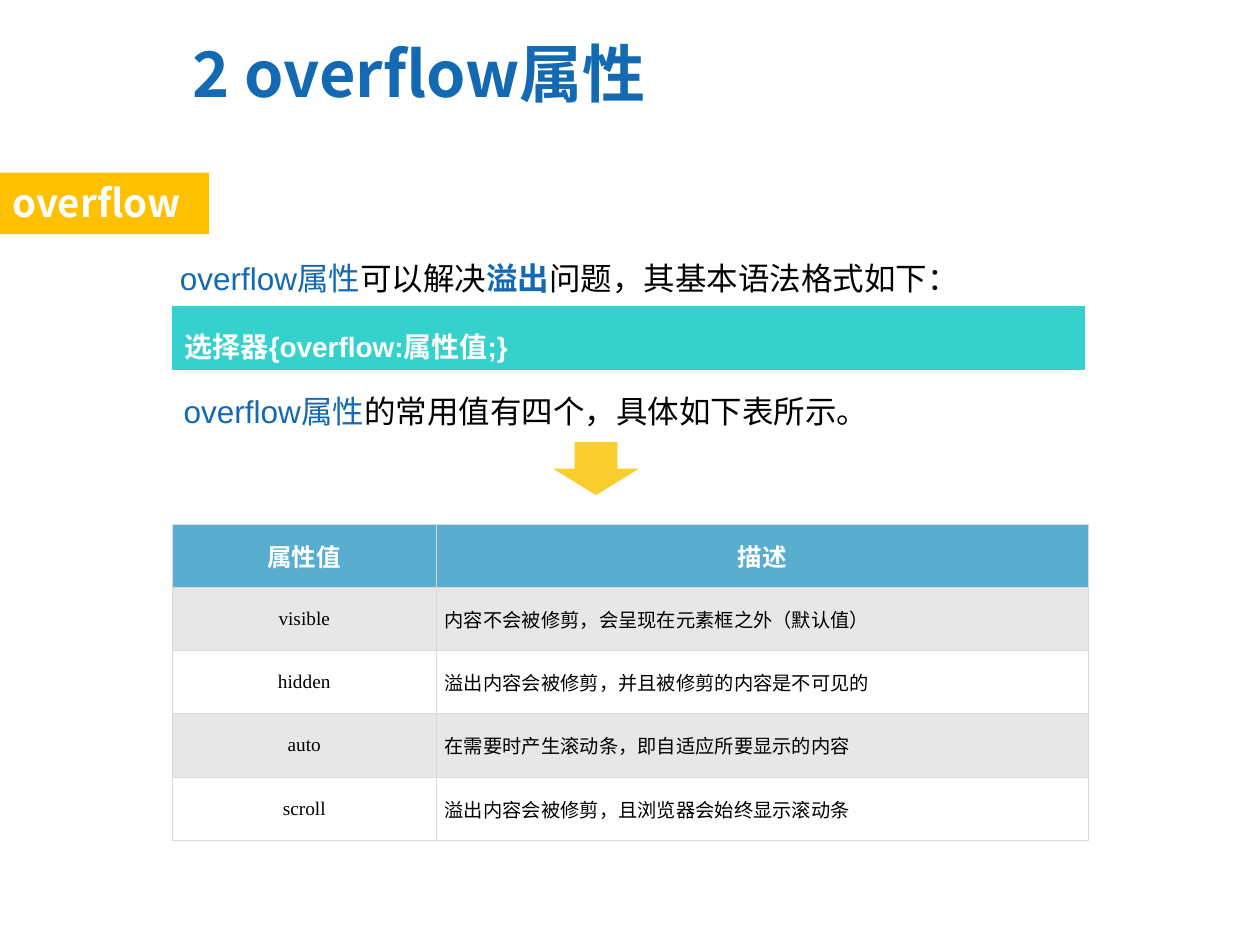
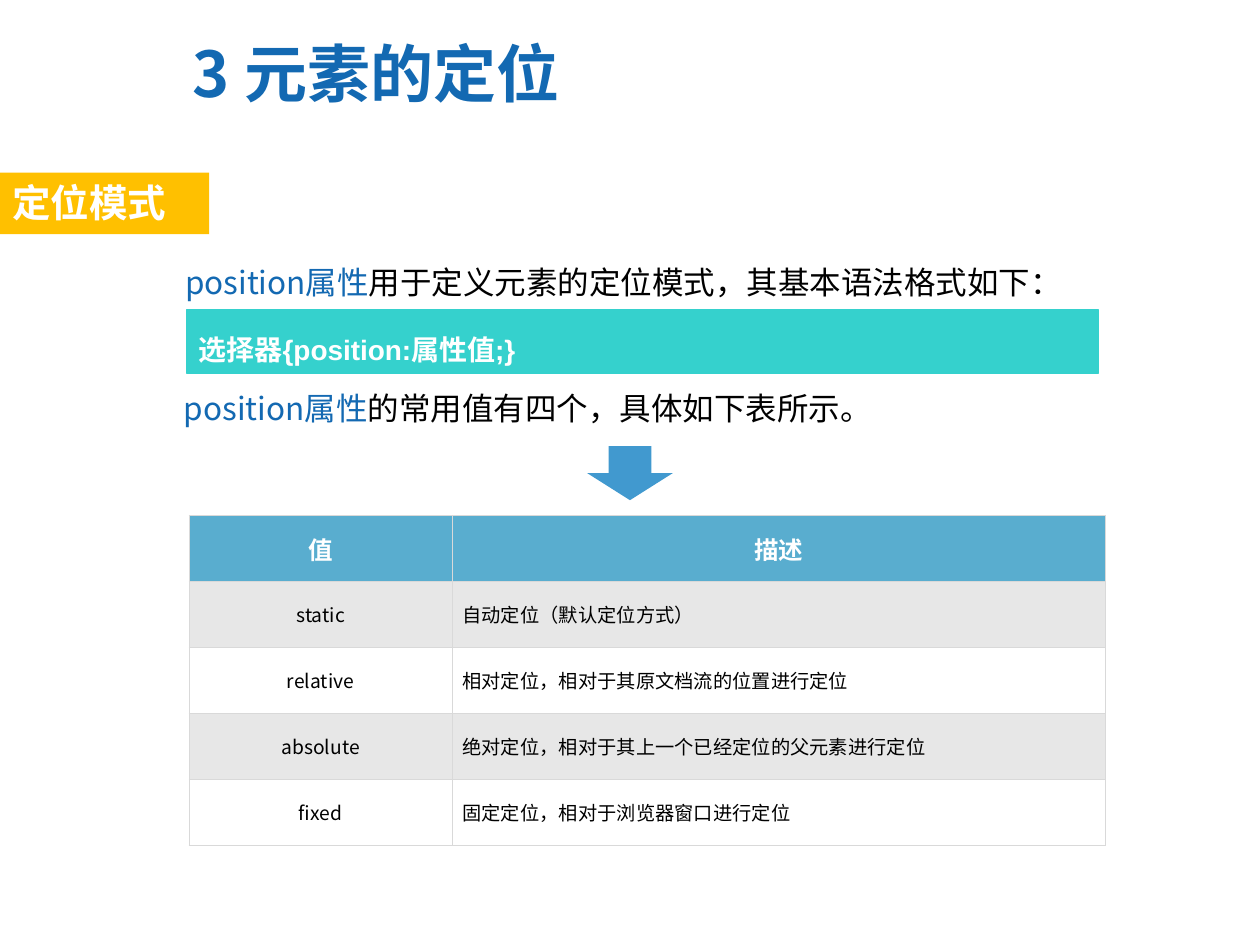
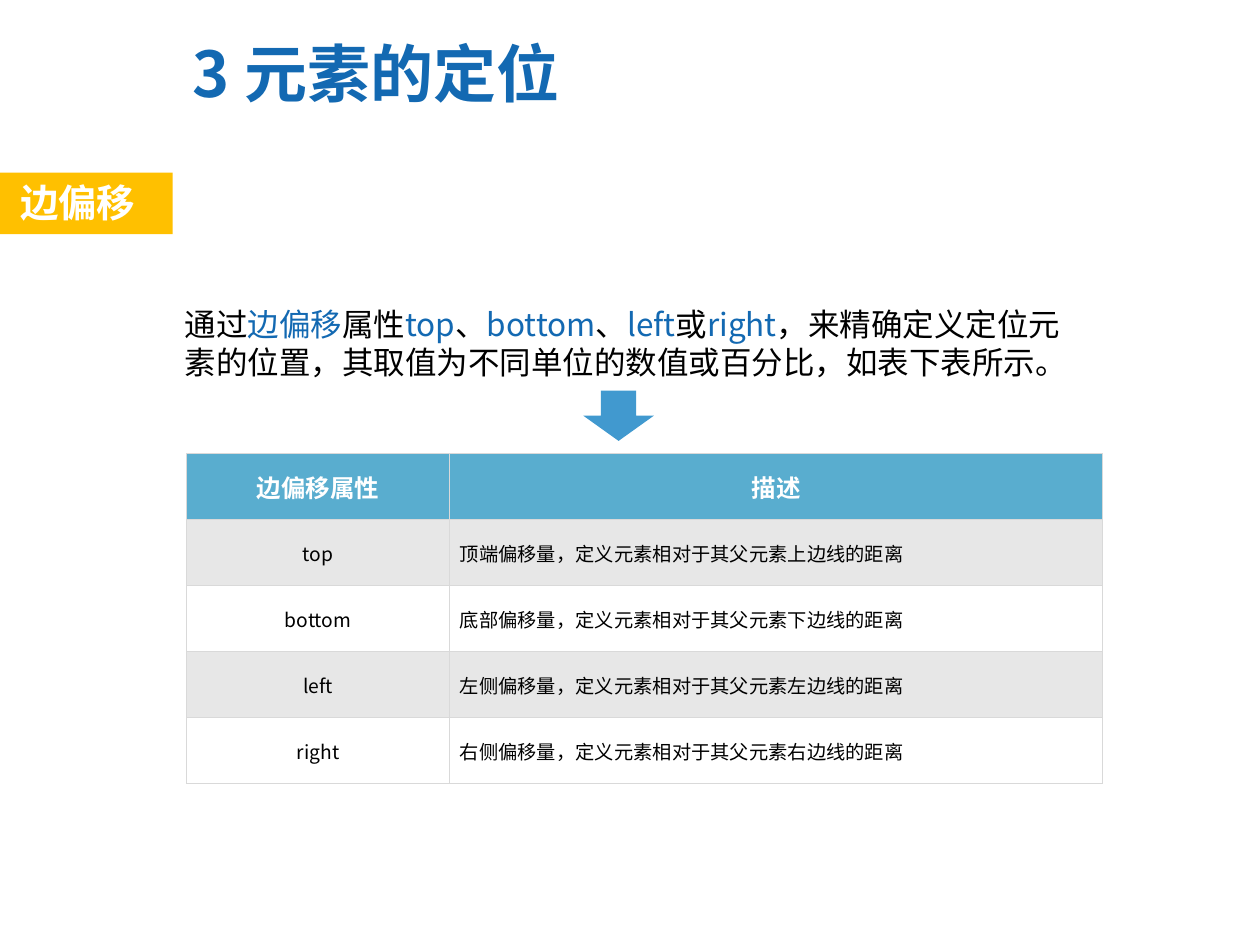
"""Build three slides on the CSS overflow and position properties."""
from lxml import etree
from pptx import Presentation
from pptx.dml.color import RGBColor
from pptx.enum.shapes import MSO_SHAPE
from pptx.enum.text import MSO_ANCHOR, MSO_AUTO_SIZE, PP_ALIGN
from pptx.oxml.ns import qn
from pptx.util import Inches, Pt

RECT, DOWN = MSO_SHAPE.RECTANGLE, MSO_SHAPE.DOWN_ARROW
TOP, MIDDLE = MSO_ANCHOR.TOP, MSO_ANCHOR.MIDDLE
LEFT, CENTER = PP_ALIGN.LEFT, PP_ALIGN.CENTER
FIXED = MSO_AUTO_SIZE.NONE

BLUE, BLACK, WHITE = "1369B2", "000000", "FFFFFF"
AMBER, TEAL, SKY, GRAY, RULE = "FFC000", "35D1CD", "59ADCF", "E7E7E7", "D9D9D9"
NOTO, ARIAL, TIMES = "Noto Sans CJK SC", "Arial", "Times New Roman"

PAGES = [
    {
        "title": "2 overflow属性", "span": 93.1,
        "tag": "overflow", "tag_wide": 16.6, "tag_pad": 0.1,
        "lines": [
            ("|overflow属性|可以解决|!溢出|问题，其基本语法格式如下：",
             ARIAL, 1.5, (13.3, 24.8, 75.9, 7.33)),
            ("|overflow属性|的常用值有四个，具体如下表所示。",
             ARIAL, 1, (13.6, 40.8, 72.4, 5.33)),
        ],
        "code": ("选择器{overflow:属性值;}", (13.7, 32.4, 72.4, 6.67)),
        "arrow": ("FACE2E", (43.9, 46.8, 6.8, 5.6)),
        "grid": (13.7, 55.47, 6.69), "faces": (TIMES, TIMES), "pad": 0.07,
        "rows": [
            ("属性值", "描述"),
            ("visible", "内容不会被修剪，会呈现在元素框之外（默认值）"),
            ("hidden", "溢出内容会被修剪，并且被修剪的内容是不可见的"),
            ("auto", "在需要时产生滚动条，即自适应所要显示的内容"),
            ("scroll", "溢出内容会被修剪，且浏览器会始终显示滚动条"),
        ],
    },
    {
        "title": "3 元素的定位", "span": 56.3,
        "tag": "定位模式", "tag_wide": 16.6, "tag_pad": 0.1,
        "lines": [
            ("|position属性|用于定义元素的定位模式，其基本语法格式如下：",
             NOTO, 1.5, (13.7, 25.2, 75.9, 7.33)),
            ("|position属性|的常用值有四个，具体如下表所示。",
             NOTO, 1, (13.6, 40.53, 72.4, 5.33)),
        ],
        "code": ("选择器{position:属性值;}", (14.8, 32.8, 72.4, 6.67)),
        "arrow": ("4199CF", (46.6, 47.2, 6.8, 5.73)),
        "grid": (15, 54.53, 6.99), "faces": (NOTO, NOTO), "pad": 0.08,
        "rows": [
            ("值", "描述"),
            ("static", "自动定位（默认定位方式）"),
            ("relative", "相对定位，相对于其原文档流的位置进行定位"),
            ("absolute", "绝对定位，相对于其上一个已经定位的父元素进行定位"),
            ("fixed", "固定定位，相对于浏览器窗口进行定位"),
        ],
    },
    {
        "title": "3 元素的定位", "span": 56.3,
        "tag": "边偏移", "tag_wide": 13.7, "tag_pad": 0.16,
        "lines": [
            ("通过|边偏移|属性|top|、|bottom|、|left|或|right|，来精确定义"
             "定位元素的位置，其取值为不同单位的数值或百分比，如表下表所示。",
             NOTO, 1, (13.7, 31.6, 72.4, 13.33)),
        ],
        "code": None,
        "arrow": ("4199CF", (46.3, 41.33, 5.6, 5.33)),
        "grid": (14.8, 48, 6.99), "faces": (TIMES, NOTO), "pad": 0.08,
        "rows": [
            ("边偏移属性", "描述"),
            ("top", "顶端偏移量，定义元素相对于其父元素上边线的距离"),
            ("bottom", "底部偏移量，定义元素相对于其父元素下边线的距离"),
            ("left", "左侧偏移量，定义元素相对于其父元素左边线的距离"),
            ("right", "右侧偏移量，定义元素相对于其父元素右边线的距离"),
        ],
    },
]


def paint(fill, color):
    """Give a shape, line, cell or font fill one solid colour."""
    fill.solid()
    fill.fore_color.rgb = RGBColor.from_string(color)


def write(frame, text, size, face, color, bold=False, align=LEFT, space=1):
    """Write one paragraph; every second part between bars is blue, ! is bold."""
    frame.word_wrap = True
    para = frame.paragraphs[0]
    para.alignment, para.line_spacing = align, space
    for i, part in enumerate(text.split("|")):
        if not part:
            continue
        run = para.add_run()
        run.text = part.lstrip("!")
        font = run.font
        font.size, font.name = Pt(size), face
        font.bold = bold or part.startswith("!")
        paint(font.fill, BLUE if i % 2 else color)
        east = etree.SubElement(run._r.get_or_add_rPr(), qn("a:ea"))
        east.set("typeface", NOTO)


prs = Presentation()
prs.slide_width, prs.slide_height = Inches(10), Inches(7.5)
wide, tall = prs.slide_width / 100, prs.slide_height / 100
scale = (wide, tall, wide, tall)

for page in PAGES:
    slide = prs.slides.add_slide(prs.slide_layouts[5])
    shapes = slide.shapes

    title = shapes.title
    title.left, title.top, title.width, title.height = (
        int(n * unit) for n, unit in zip((0.9, 2, page["span"], 11.2), scale))
    frame = title.text_frame
    frame.auto_size, frame.vertical_anchor = FIXED, MIDDLE
    frame.margin_left = Inches(1.44)
    write(frame, page["title"], 36, NOTO, BLUE, True)

    for text, face, space, spot in page["lines"]:
        area = [int(n * unit) for n, unit in zip(spot, scale)]
        frame = shapes.add_textbox(*area).text_frame
        write(frame, text, 18, face, BLACK, space=space)

    tag_spot = (0, 18.27, page["tag_wide"], 6.53)
    color, spot = page["arrow"]
    blocks = [(RECT, AMBER, tag_spot, page["tag"], 22, NOTO, 1, page["tag_pad"]),
              (DOWN, color, spot, "", 18, NOTO, 1, 0.1)]
    if page["code"]:
        text, spot = page["code"]
        blocks.append((RECT, TEAL, spot, text, 16, ARIAL, 1.5, 0.1))
    for kind, color, spot, text, size, face, space, pad in blocks:
        area = [int(n * unit) for n, unit in zip(spot, scale)]
        block = shapes.add_shape(kind, *area)
        block.shadow.inherit = False
        paint(block.fill, color)
        block.line.fill.background()
        if color == TEAL:
            paint(block.line.fill, TEAL)
            block.line.width = Pt(0.75)
        if text:
            frame = block.text_frame
            frame.vertical_anchor, frame.margin_left = TOP, Inches(pad)
            write(frame, text, size, face, WHITE, True, space=space)

    left, top, step = page["grid"]
    rows = page["rows"]
    spot = (left, top, 72.7, step * len(rows))
    area = [int(n * unit) for n, unit in zip(spot, scale)]
    table = shapes.add_table(len(rows), 2, *area).table
    for column, share in zip(table.columns, (20.9, 51.8)):
        column.width = int(share * wide)
    for r, row in enumerate(rows):
        table.rows[r].height = int(step * tall)
        head = r == 0
        for c, text in enumerate(row):
            cell = table.cell(r, c)
            cell.vertical_anchor = MIDDLE
            cell.margin_left = cell.margin_right = Inches(page["pad"])
            props = cell._tc.get_or_add_tcPr()
            for side in ("a:lnL", "a:lnR", "a:lnT", "a:lnB"):
                edge = etree.SubElement(props, qn(side), w=str(Pt(0.45)))
                solid = etree.SubElement(edge, qn("a:solidFill"))
                etree.SubElement(solid, qn("a:srgbClr"), val=RULE)
            paint(cell.fill, SKY if head else GRAY if r % 2 else WHITE)
            write(cell.text_frame, text, 14 if head else 11,
                  page["faces"][0 if head else 1], WHITE if head else BLACK,
                  head, CENTER if head or c == 0 else LEFT)

prs.save("out.pptx")
